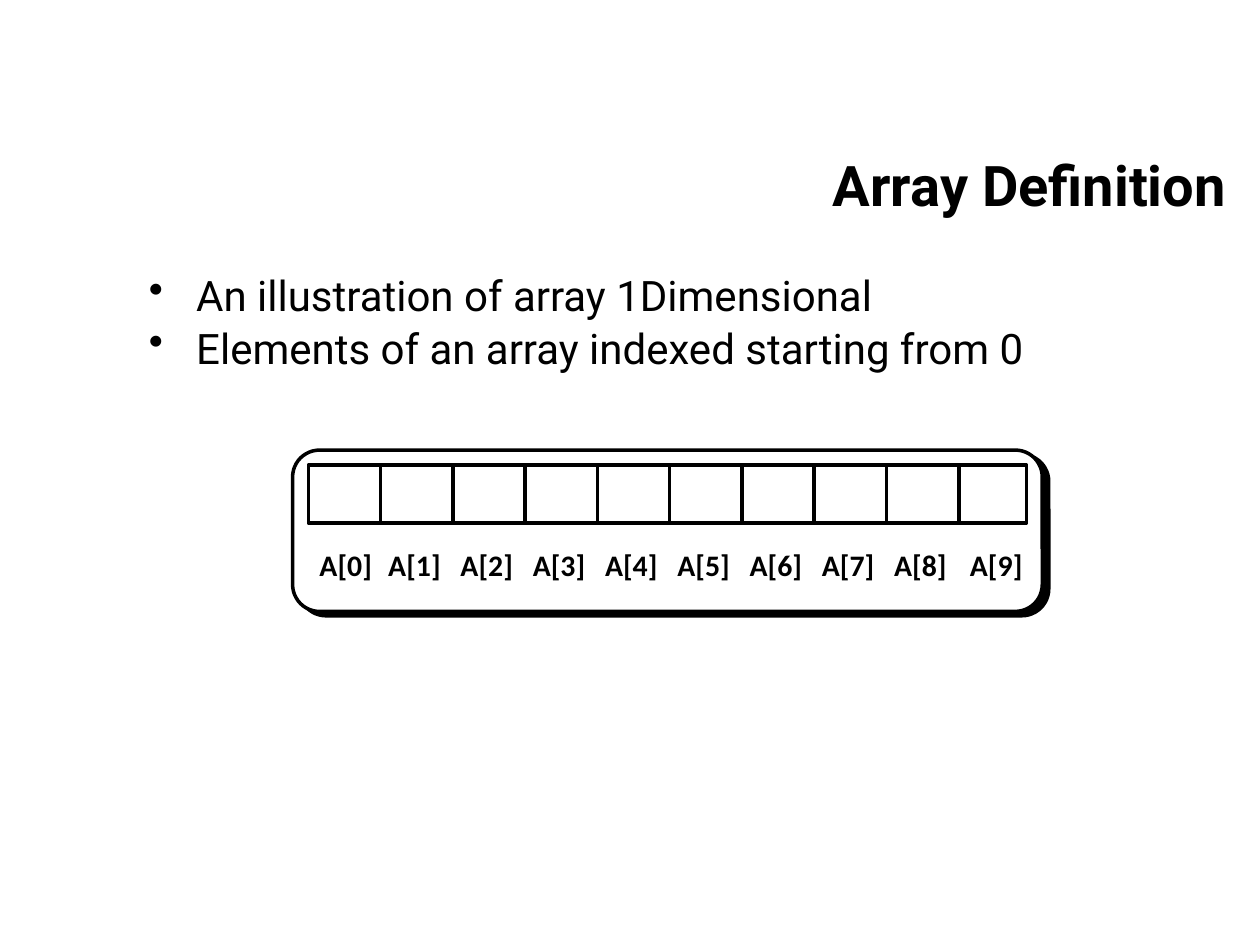
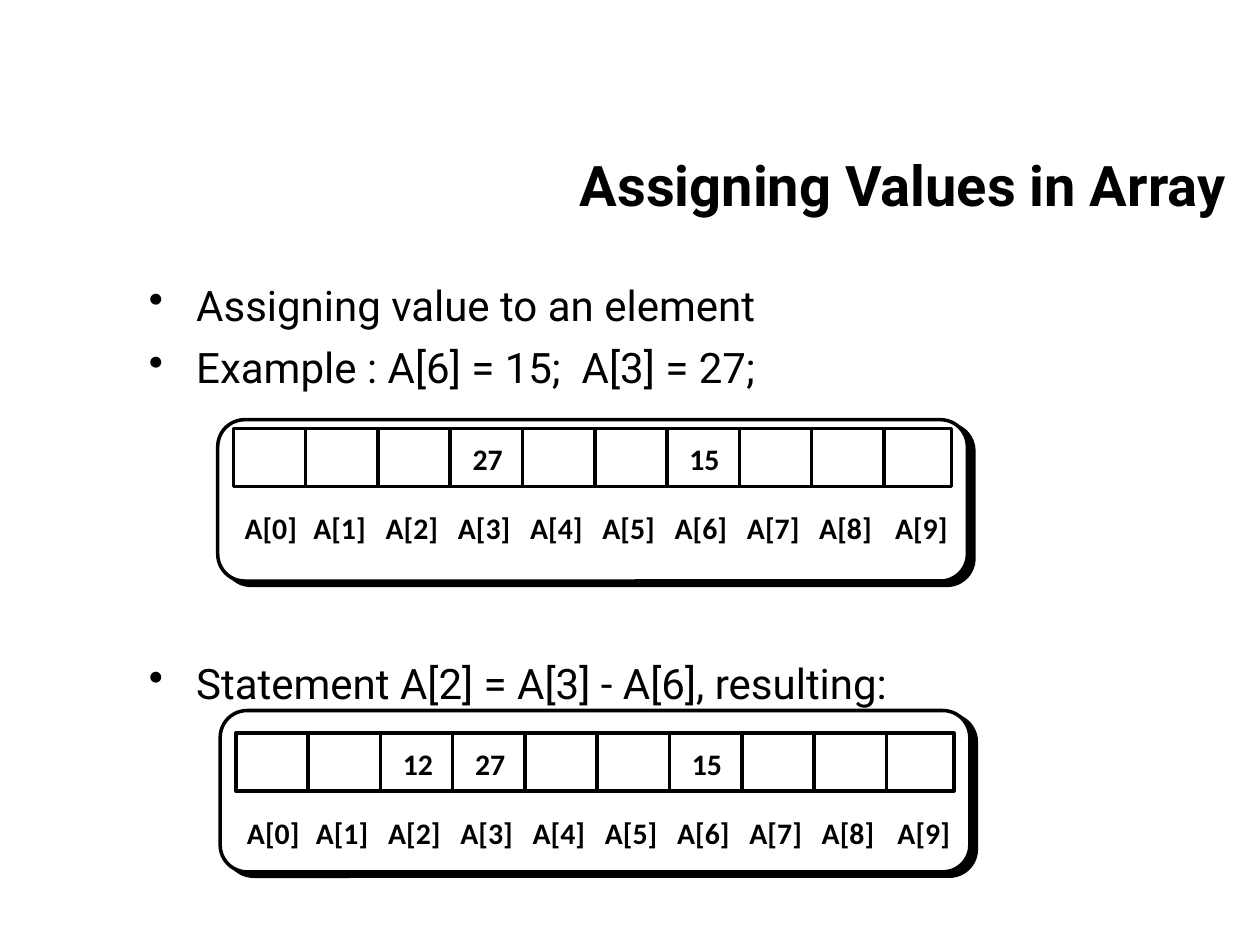
from dataclasses import dataclass

from lxml import etree
from pptx import Presentation
from pptx.dml.color import RGBColor
from pptx.enum.shapes import MSO_CONNECTOR, MSO_SHAPE
from pptx.enum.text import MSO_ANCHOR, PP_ALIGN as ALIGN
from pptx.oxml.ns import qn
from pptx.util import Pt


@dataclass(frozen=True)
class Theme:
    ink: RGBColor = RGBColor(0, 0, 0)
    paper: RGBColor = RGBColor(255, 255, 255)
    text_font: str = "Roboto"
    cell_font: str = "Calibri"
    title_size: int = 32
    body_size: int = 24
    cell_size: int = 17
    stroke: int = 2


THEME = Theme()

# Array geometry, in points
CELLS = 10
PITCH = 41.3
FRAME_WIDTH, FRAME_HEIGHT = 428.4, 92.2
ROW_WIDTH, ROW_HEIGHT = 410.4, 33
ROW_INDENT = 9
LABEL_DROP, LABEL_WIDTH, LABEL_HEIGHT = 45.5, 36.7, 24
LABEL_NUDGE = {0: 2, CELLS - 1: 2}
VALUE_DROP, VALUE_INDENT, VALUE_WIDTH = 6, 4.5, 33.8

# Each bullet is (text, space before); each array is (left, top, row drop, values)
SLIDES = [
    {
        "title": "Array Definition",
        "line_spacing": 0.8,
        "bullets": [
            ("An illustration of array 1Dimensional", 7),
            ("Elements of an array indexed starting from 0", 7),
        ],
        "arrays": [(167.2, 257.2, 8.6, {})],
    },
    {
        "title": "Assigning Values in Array",
        "line_spacing": 1.0,
        "bullets": [
            ("Assigning value to an element", 7),
            ("Example : A[6] = 15;  A[3] = 27;", 7),
            ("Statement A[2] = A[3] - A[6], resulting:", 151.3),
        ],
        "arrays": [
            (124.4, 239.8, 5.2, {3: 27, 6: 15}),
            (125.8, 406, 13, {2: 12, 3: 27, 6: 15}),
        ],
    },
]


def write(paragraph, text, font=THEME.text_font, size=THEME.body_size,
          bold=False, align=ALIGN.LEFT):
    paragraph.alignment = align
    run = paragraph.add_run()
    run.text = text
    run.font.name = font
    run.font.size = Pt(size)
    run.font.bold = bold
    run.font.color.rgb = THEME.ink


def draw_array(slide, left, top, row_drop, values):
    parts = slide.shapes.add_group_shape().shapes
    row_left, row_top = left + ROW_INDENT, top + row_drop

    frame = parts.add_shape(MSO_SHAPE.ROUNDED_RECTANGLE, Pt(left), Pt(top),
                            Pt(FRAME_WIDTH), Pt(FRAME_HEIGHT))
    frame.adjustments[0] = 0.167
    frame.fill.solid()
    frame.fill.fore_color.rgb = THEME.paper
    row = parts.add_shape(MSO_SHAPE.RECTANGLE, Pt(row_left), Pt(row_top),
                          Pt(ROW_WIDTH), Pt(ROW_HEIGHT))
    row.fill.background()
    for box in (frame, row):
        box.line.color.rgb = THEME.ink
        box.line.width = Pt(THEME.stroke)
        box.shadow.inherit = False
    effects = frame._element.spPr.find(qn("a:effectLst"))
    shadow = etree.SubElement(effects, qn("a:outerShdw"), blurRad="0",
                              dist=str(Pt(4.5)), dir=str(34 * 60000),
                              algn="ctr", rotWithShape="0")
    etree.SubElement(shadow, qn("a:srgbClr"), val=str(THEME.ink))

    for index in range(1, CELLS):
        x = Pt(row_left + index * PITCH)
        divider = parts.add_connector(MSO_CONNECTOR.STRAIGHT, x, Pt(row_top),
                                      x, Pt(row_top + ROW_HEIGHT))
        divider.line.color.rgb = THEME.ink
        divider.line.width = Pt(THEME.stroke)
        etree.SubElement(divider._element.spPr, qn("a:effectLst"))

    captions = [(f"A[{index}]", index * PITCH + 1 + LABEL_NUDGE.get(index, 0),
                 LABEL_DROP, LABEL_WIDTH) for index in range(CELLS)]
    captions += [(str(value), index * PITCH + VALUE_INDENT, VALUE_DROP, VALUE_WIDTH)
                 for index, value in values.items()]
    for text, indent, drop, width in captions:
        caption = parts.add_textbox(Pt(row_left + indent), Pt(row_top + drop),
                                    Pt(width), Pt(LABEL_HEIGHT)).text_frame
        caption.word_wrap = True
        caption.margin_left = caption.margin_right = Pt(0.9)
        caption.margin_top = caption.margin_bottom = Pt(0.9)
        write(caption.paragraphs[0], text, font=THEME.cell_font,
              size=THEME.cell_size, bold=True, align=ALIGN.CENTER)


deck = Presentation()
deck.slide_width, deck.slide_height = Pt(720), Pt(540)
title_only = deck.slide_layouts[5]

for content in SLIDES:
    slide = deck.slides.add_slide(title_only)

    title = slide.shapes.title
    title.left, title.top, title.width, title.height = Pt(264), Pt(60), Pt(444), Pt(90)
    title.text_frame.vertical_anchor = MSO_ANCHOR.MIDDLE
    write(title.text_frame.paragraphs[0], content["title"],
          size=THEME.title_size, bold=True, align=ALIGN.RIGHT)

    body = slide.shapes.add_textbox(Pt(78), Pt(156), Pt(630), Pt(336)).text_frame
    body.word_wrap = True
    for number, (text, space_before) in enumerate(content["bullets"]):
        bullet = body.add_paragraph() if number else body.paragraphs[0]
        write(bullet, text)
        bullet.space_before = Pt(space_before)
        bullet.line_spacing = content["line_spacing"]
        properties = bullet._p.get_or_add_pPr()
        properties.set("marL", str(Pt(27)))
        properties.set("indent", str(-Pt(27)))
        etree.SubElement(properties, qn("a:buChar"), char="•")

    for array in content["arrays"]:
        draw_array(slide, *array)

deck.save("out.pptx")
